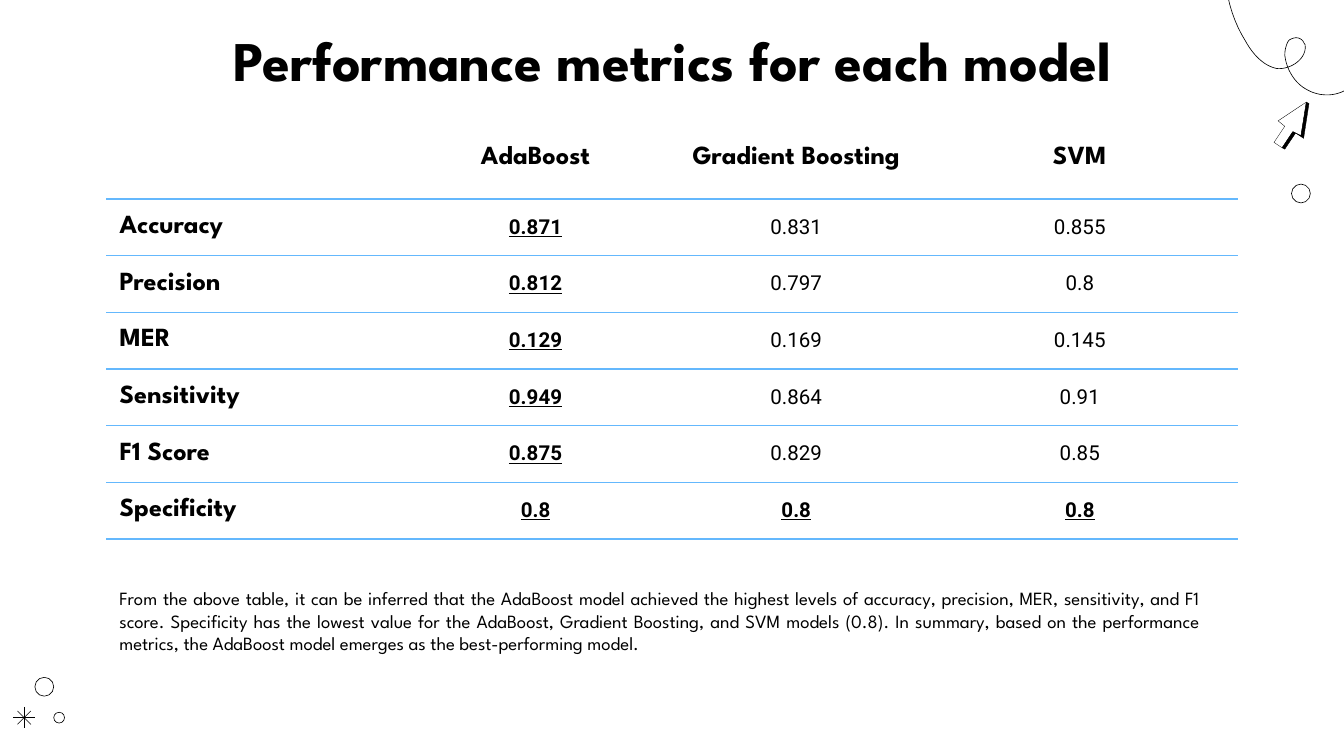
from lxml import etree
from pptx import Presentation
from pptx.dml.color import RGBColor
from pptx.enum import shapes, text
from pptx.oxml.ns import qn
from pptx.util import Inches, Pt

HEAD, BODY = "League Spartan", "Roboto"
BLACK, BLUE = "000000", "64B8FD"
MODELS = ["", "AdaBoost", "Gradient Boosting", "SVM"]
METRICS = [
    ("Accuracy", "0.871", "0.831", "0.855"),
    ("Precision", "0.812", "0.797", "0.8"),
    ("MER", "0.129", "0.169", "0.145"),
    ("Sensitivity", "0.949", "0.864", "0.91"),
    ("F1 Score", "0.875", "0.829", "0.85"),
    ("Specificity", "0.8", "0.8", "0.8"),
]
SUMMARY = (
    "From the above table, it can be inferred that the AdaBoost model achieved "
    "the highest levels of accuracy, precision, MER, sensitivity, and F1 score. "
    "Specificity has the lowest value for the AdaBoost, Gradient Boosting, and "
    "SVM models (0.8). In summary, based on the performance metrics, the "
    "AdaBoost model emerges as the best-performing model."
)


def color(hex_string):
    return RGBColor.from_string(hex_string)


def style(p, size, font, align, bold=False, underline=False):
    p.alignment = align
    f = p.font
    f.size, f.name, f.bold, f.underline = Pt(size), font, bold, underline
    f.color.rgb = color(BLACK)


def add_text(s, box, words, inset, size, align, bold=False):
    tf = s.shapes.add_textbox(*map(Inches, box)).text_frame
    tf.word_wrap = True
    tf.margin_top = tf.margin_bottom = Inches(inset)
    tf.text = words
    style(tf.paragraphs[0], size, HEAD, align, bold)


# Table
def set_borders(cell, top, bottom):
    tcPr = cell._tc.get_or_add_tcPr()
    sides = [("L", False), ("R", False), ("T", top), ("B", bottom)]
    for i, (side, shown) in enumerate(sides):
        ln = etree.Element(qn("a:ln" + side), w=str(Pt(0.75)))
        if shown:
            fill = etree.SubElement(ln, qn("a:solidFill"))
            etree.SubElement(fill, qn("a:srgbClr"), val=BLUE)
        else:
            etree.SubElement(ln, qn("a:noFill"))
        tcPr.insert(i, ln)


def add_metrics_table(s, box, widths, header_height):
    rows = [MODELS] + METRICS
    table = s.shapes.add_table(len(rows), len(MODELS), *map(Inches, box)).table
    table.first_row = table.horz_banding = False
    for col, width in zip(table.columns, widths):
        col.width = Inches(width)
    row_height = (box[3] - header_height) / len(METRICS)
    for r, values in enumerate(rows):
        table.rows[r].height = Inches(row_height if r else header_height)
        best = (min if values[0] == "MER" else max)(values[1:])
        for c, value in enumerate(values):
            cell = table.cell(r, c)
            cell.fill.background()
            set_borders(cell, top=r > 0, bottom=True)
            cell.vertical_anchor = text.MSO_ANCHOR.MIDDLE
            is_value = r > 0 and c > 0
            cell.margin_left = cell.margin_right = Inches(0 if is_value else 0.1)
            cell.margin_top = cell.margin_bottom = Inches(0 if r else 0.07)
            cell.text = value
            p = cell.text_frame.paragraphs[0]
            align = text.PP_ALIGN.CENTER if c else text.PP_ALIGN.LEFT
            if is_value:
                style(p, 11, BODY, align, value == best, value == best)
            else:
                style(p, 14, HEAD, align, True)


# Decorations
def outline(sp, width, fill=None):
    sp.shadow.inherit = False
    if fill:
        sp.fill.solid()
        sp.fill.fore_color.rgb = color(fill)
    else:
        sp.fill.background()
    sp.line.color.rgb = color(BLACK)
    sp.line.width = Pt(width)


def add_path(s, box, points, width, closed=False, fill=None):
    x, y = box[:2]
    pts = [(Inches(x + px), Inches(y + py)) for px, py in points]
    fb = s.shapes.build_freeform(*pts[0])
    fb.add_line_segments(pts[1:], close=closed)
    outline(fb.convert_to_shape(), width, fill)


def bezier(points, steps=16):
    """Points along joined cubic curves: a start, then three per curve."""
    result = [points[0]]
    for i in range(0, len(points) - 1, 3):
        a, b, c, d = points[i:i + 4]
        for n in range(1, steps + 1):
            t = n / steps
            k = (1 - t) ** 3, 3 * t * (1 - t) ** 2, 3 * t * t * (1 - t), t ** 3
            result.append(tuple(
                sum(w * q[axis] for w, q in zip(k, (a, b, c, d)))
                for axis in (0, 1)))
    return result


def add_ring(s, box, x, y, size):
    sp = s.shapes.add_shape(shapes.MSO_SHAPE.OVAL, Inches(box[0] + x),
                            Inches(box[1] + y), Inches(size), Inches(size))
    outline(sp, 0.34)


def add_corner_doodle(s, box):
    # Looping thread
    add_path(s, box, bezier([
        (0.93, 0.66), (0.84, 0.72), (0.72, 0.72), (0.63, 0.67),
        (0.53, 0.62), (0.47, 0.51), (0.46, 0.41),
        (0.46, 0.37), (0.47, 0.33), (0.49, 0.30),
        (0.52, 0.28), (0.56, 0.27), (0.59, 0.30),
        (0.60, 0.31), (0.60, 0.32), (0.61, 0.33),
        (0.63, 0.43), (0.51, 0.52), (0.40, 0.51),
        (0.30, 0.49), (0.22, 0.40), (0.17, 0.31),
        (0.00, 0.04), (-0.03, -0.31), (0.07, -0.62)]), 0.34)
    # Pointer and its dark edge
    add_path(s, box, [(0.58, 1.01), (0.62, 0.76), (0.41, 0.90), (0.46, 0.94),
                      (0.38, 1.06), (0.44, 1.10), (0.52, 0.98)], 0.16, True)
    add_path(s, box, [(0.62, 0.76), (0.58, 1.01), (0.52, 0.98), (0.44, 1.10),
                      (0.46, 1.11), (0.54, 0.99), (0.60, 1.03), (0.64, 0.77)],
             0.16, True, BLACK)
    add_ring(s, box, 0.51, 1.37, 0.14)


def add_star_doodle(s, box):
    cx, cy = box[0] + 0.08, box[1] + 0.3
    for dx, dy in [(0, 0.08), (0.08, 0), (-0.05, 0.05), (0.05, 0.05)]:
        ray = s.shapes.add_connector(
            shapes.MSO_CONNECTOR.STRAIGHT, Inches(cx - dx), Inches(cy - dy),
            Inches(cx + dx), Inches(cy + dy))
        ray.line.color.rgb = color(BLACK)
        ray.line.width = Pt(0.25)
        etree.SubElement(ray._element.spPr, qn("a:effectLst"))
    add_ring(s, box, 0.16, 0, 0.14)
    add_ring(s, box, 0.3, 0.26, 0.08)


def main():
    prs = Presentation()
    # Widescreen, 16:9
    prs.slide_width = Inches(10)
    prs.slide_height = prs.slide_width * 9 // 16
    s = prs.slides.add_slide(prs.slide_layouts[6])
    add_corner_doodle(s, (9.1, 0))
    add_star_doodle(s, (0.1, 5.04))
    add_metrics_table(s, (0.79, 0.87, 8.42, 3.14), (2.19, 2.01, 1.87, 2.35), 0.61)
    add_text(s, (0.79, 0.09, 8.43, 0.63), "Performance metrics for each model",
             0.1, 30, text.PP_ALIGN.CENTER, True)
    add_text(s, (0.79, 4.32, 8.23, 0.61), SUMMARY, 0.05, 10,
             text.PP_ALIGN.JUSTIFY)
    prs.save("out.pptx")


if __name__ == "__main__":
    main()
